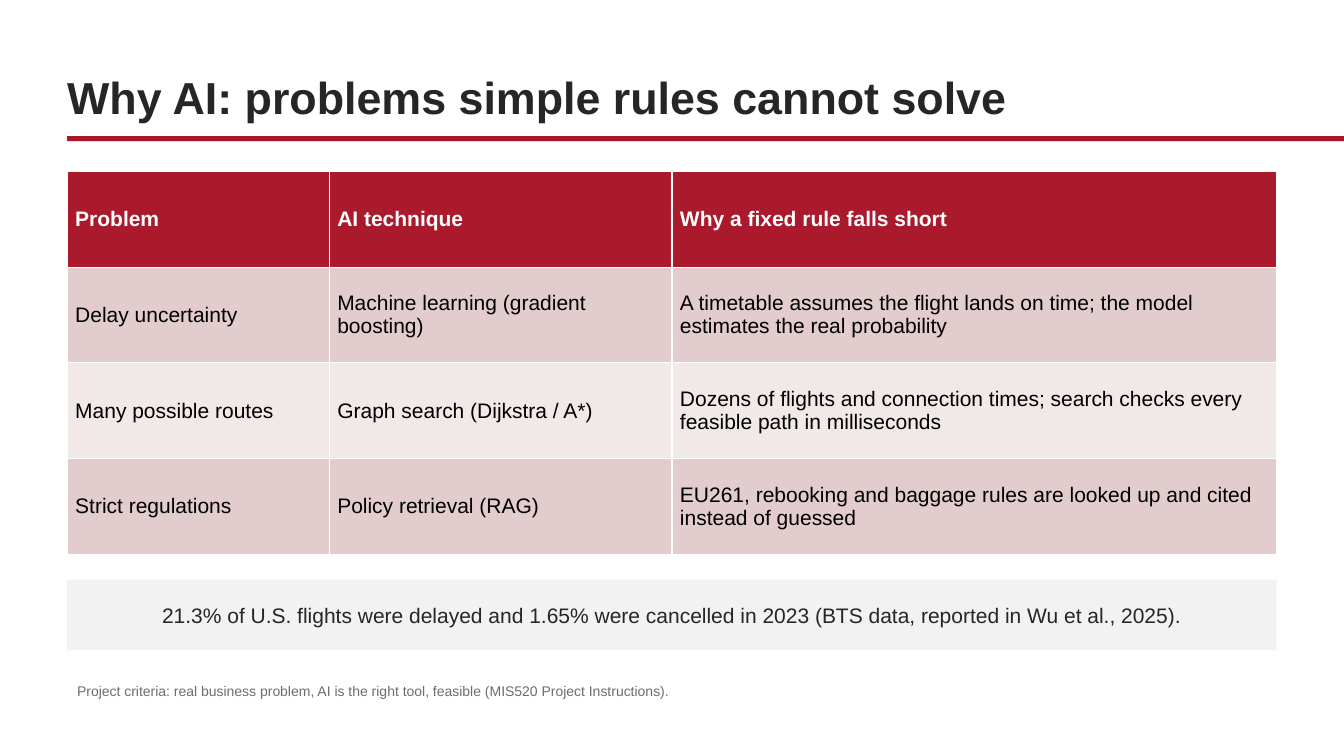
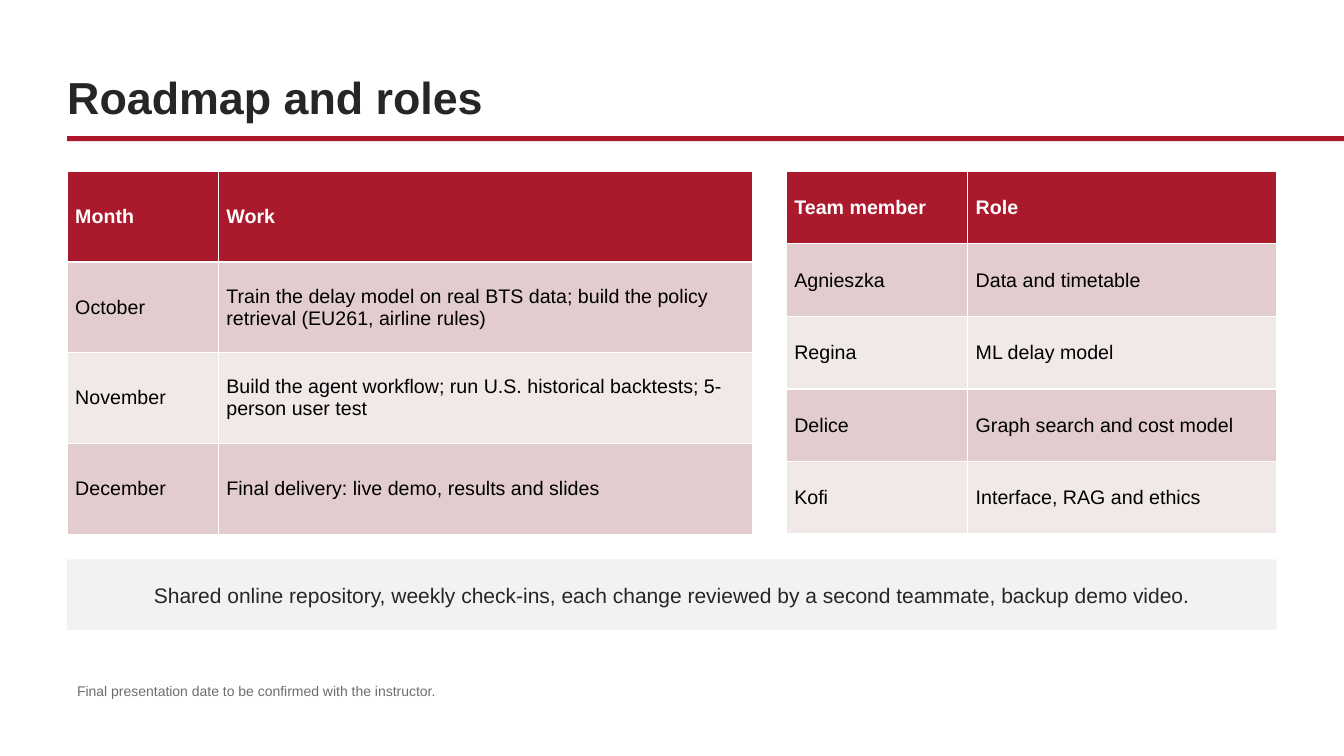
"""Build two slides of tables, each with a title, a banner and a note."""
import dataclasses
import typing

import pptx
import pptx.dml.color
import pptx.enum.shapes
import pptx.enum.text
import pptx.shapes.autoshape
import pptx.slide
import pptx.text.text
import pptx.util

Anchor = pptx.enum.text.MSO_ANCHOR
Align = pptx.enum.text.PP_ALIGN
Fit = pptx.enum.text.MSO_AUTO_SIZE
Color = pptx.dml.color.RGBColor
Pt = pptx.util.Pt
Inch = pptx.util.Inches

RULE = Color(0xAB, 0x16, 0x2B)
HEAD = Color(0xAB, 0x19, 0x2D)
DARK = Color(0xE2, 0xCC, 0xCD)
LIGHT = Color(0xF1, 0xE8, 0xE8)
PANEL = Color(0xF2, 0xF2, 0xF2)
INK = Color(0x27, 0x26, 0x26)
GRAY = Color(0x6D, 0x6D, 0x6D)
BLACK = Color(0, 0, 0)
WHITE = Color(0xFF, 0xFF, 0xFF)

FONT = "Arial"
WIDE, HIGH = Inch(13.333), Inch(7.5)
COLS, ROWS = 20, 75
LEFT, SPAN = 1, 18
TOP = 17
GAP = 2.5

TITLE = {"vertical_anchor": Anchor.BOTTOM, "auto_size": Fit.NONE, "word_wrap": True,
         "margin_left": 0, "margin_right": 0,
         "margin_top": Inch(0.05), "margin_bottom": Inch(0.05)}
BANNER = {"vertical_anchor": Anchor.MIDDLE, "word_wrap": True,
          "margin_left": Inch(0.15), "margin_right": Inch(0.15),
          "margin_top": Inch(0.08), "margin_bottom": Inch(0.08)}
NOTE = {"word_wrap": True, "auto_size": Fit.SHAPE_TO_FIT_TEXT}
CELL = {"vertical_anchor": Anchor.MIDDLE,
        "margin_left": Inch(0.08), "margin_right": Inch(0.08)}


@dataclasses.dataclass
class Grid:
    left: float
    cols: list[float]
    row: float
    size: int
    data: list[list[str]]


@dataclasses.dataclass
class Page:
    title: str
    grids: list[Grid]
    banner: str
    note: str


PAGES = [
    Page(
        "Why AI: problems simple rules cannot solve",
        [Grid(LEFT, [3.9, 5.1, 9], 9.5, 15, [
            ["Problem", "AI technique", "Why a fixed rule falls short"],
            ["Delay uncertainty", "Machine learning (gradient boosting)",
             "A timetable assumes the flight lands on time; "
             "the model estimates the real probability"],
            ["Many possible routes", "Graph search (Dijkstra / A*)",
             "Dozens of flights and connection times; "
             "search checks every feasible path in milliseconds"],
            ["Strict regulations", "Policy retrieval (RAG)",
             "EU261, rebooking and baggage rules are looked up "
             "and cited instead of guessed"],
        ])],
        "21.3% of U.S. flights were delayed and 1.65% were cancelled in 2023 "
        "(BTS data, reported in Wu et al., 2025).",
        "Project criteria: real business problem, AI is the right tool, "
        "feasible (MIS520 Project Instructions).",
    ),
    Page(
        "Roadmap and roles",
        [Grid(LEFT, [2.25, 7.95], 9, 14, [
            ["Month", "Work"],
            ["October", "Train the delay model on real BTS data; "
                        "build the policy retrieval (EU261, airline rules)"],
            ["November", "Build the agent workflow; run U.S. historical backtests; "
                         "5-person user test"],
            ["December", "Final delivery: live demo, results and slides"],
        ]),
         Grid(11.7, [2.7, 4.6], 7.2, 14, [
             ["Team member", "Role"],
             ["Agnieszka", "Data and timetable"],
             ["Regina", "ML delay model"],
             ["Delice", "Graph search and cost model"],
             ["Kofi", "Interface, RAG and ethics"],
         ])],
        "Shared online repository, weekly check-ins, each change reviewed "
        "by a second teammate, backup demo video.",
        "Final presentation date to be confirmed with the instructor.",
    ),
]


def put(item: typing.Any, values: dict[str, typing.Any]) -> None:
    for name, value in values.items():
        setattr(item, name, value)


def across(count: float) -> int:
    return round(WIDE * count / COLS)


def down(count: float) -> int:
    return round(HIGH * count / ROWS)


def place(left: float, top: float, wide: float, high: float) -> tuple[int, int, int, int]:
    return across(left), down(top), across(wide), down(high)


def write(frame: pptx.text.text.TextFrame, text: str, size: int, color: Color,
          bold: bool = False, align: Align = Align.LEFT) -> None:
    frame.text = text
    para = frame.paragraphs[0]
    para.alignment = align
    put(para.font, {"name": FONT, "size": Pt(size), "bold": bold})
    para.font.color.rgb = color


def block(slide: pptx.slide.Slide, box: tuple[int, int, int, int],
          color: Color) -> pptx.shapes.autoshape.Shape:
    shape = slide.shapes.add_shape(pptx.enum.shapes.MSO_SHAPE.RECTANGLE, *box)
    shape.shadow.inherit = False
    shape.fill.solid()
    shape.fill.fore_color.rgb = color
    shape.line.fill.background()
    return shape


def share(slide: pptx.slide.Slide) -> None:
    rule = block(slide, place(LEFT, 13.5, COLS - LEFT, 0.5), RULE)
    rule.element.nvSpPr.cNvPr.set("id", "20")
    slide.slide_layout.shapes.element.append(rule.element)


def head(slide: pptx.slide.Slide, text: str) -> None:
    title = slide.shapes.title
    box = place(LEFT, 4, SPAN, 8.8)
    put(title, dict(zip(("left", "top", "width", "height"), box)))
    put(title.text_frame, TITLE)
    write(title.text_frame, text, 32, INK, bold=True)
    title.text_frame.paragraphs[0].line_spacing = Pt(38)


def table(slide: pptx.slide.Slide, grid: Grid) -> None:
    count = len(grid.data)
    box = place(grid.left, TOP, sum(grid.cols), grid.row * count)
    body = slide.shapes.add_table(count, len(grid.cols), *box).table
    for col, wide in zip(body.columns, grid.cols):
        col.width = across(wide)
    for r, texts in enumerate(grid.data):
        body.rows[r].height = down(grid.row)
        fill = HEAD if r == 0 else DARK if r % 2 else LIGHT
        for c, text in enumerate(texts):
            cell = body.cell(r, c)
            put(cell, CELL)
            cell.fill.solid()
            cell.fill.fore_color.rgb = fill
            write(cell.text_frame, text, grid.size, BLACK if r else WHITE, bold=r == 0)


def draw(slide: pptx.slide.Slide, page: Page) -> None:
    head(slide, page.title)
    for grid in page.grids:
        table(slide, grid)
    first = page.grids[0]
    base = TOP + first.row * len(first.data)
    panel = block(slide, place(LEFT, base + GAP, SPAN, 7), PANEL)
    put(panel.text_frame, BANNER)
    write(panel.text_frame, page.banner, 15, INK, align=Align.CENTER)
    note = slide.shapes.add_textbox(*place(LEFT, 67.2, 13.5, 3.5))
    put(note.text_frame, NOTE)
    write(note.text_frame, page.note, 10, GRAY)


def main() -> None:
    deck = pptx.Presentation()
    put(deck, {"slide_width": WIDE, "slide_height": HIGH})
    slides = [deck.slides.add_slide(deck.slide_layouts[5]) for _ in PAGES]
    share(slides[0])
    for slide, page in zip(slides, PAGES):
        draw(slide, page)
    deck.save("out.pptx")


if __name__ == "__main__":
    main()
